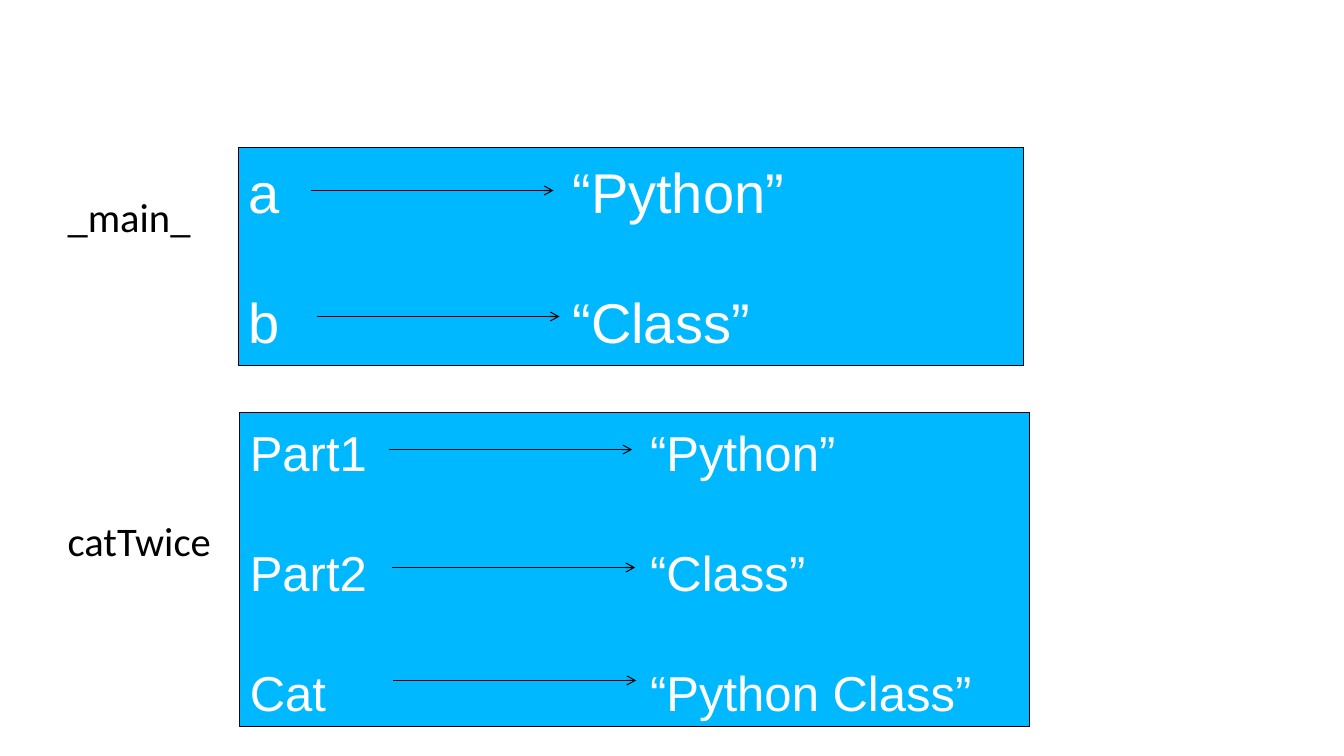
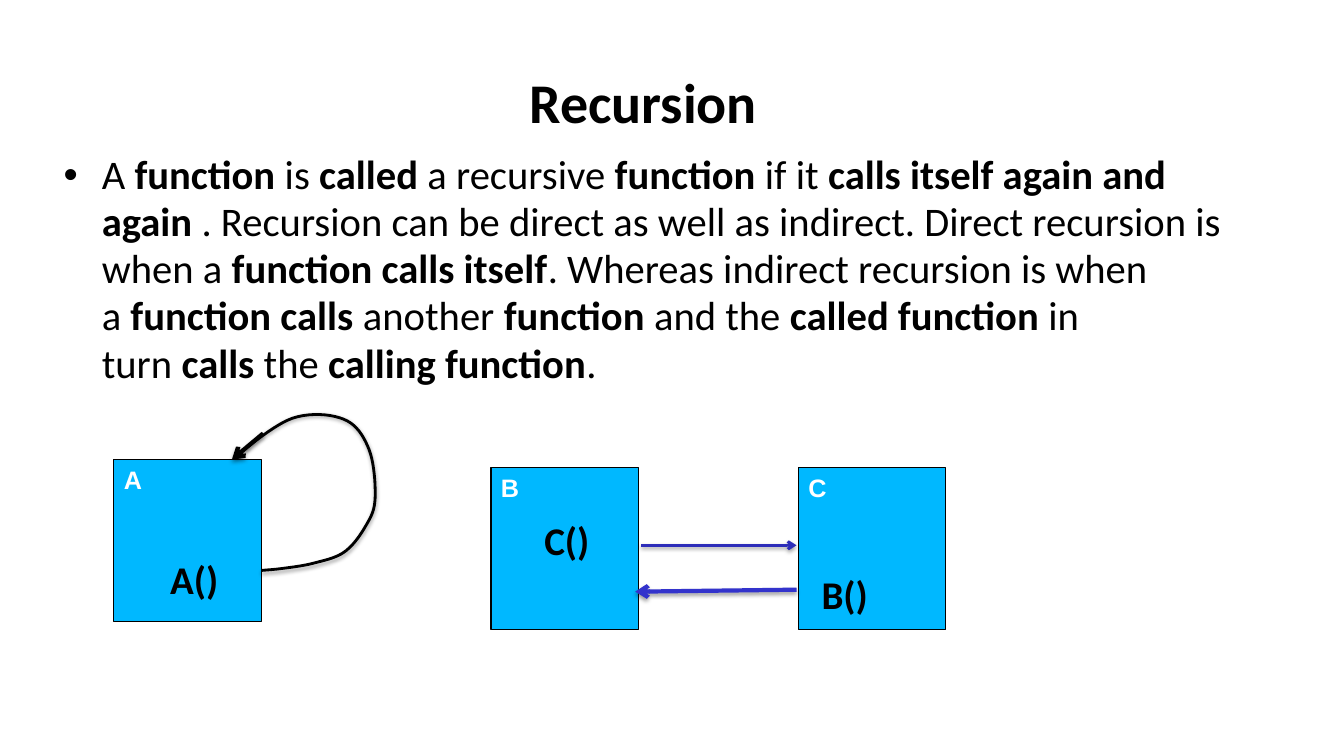
from lxml import etree
from pptx import Presentation
from pptx.dml.color import RGBColor
from pptx.enum.shapes import MSO_CONNECTOR, MSO_SHAPE
from pptx.enum.text import MSO_ANCHOR, PP_ALIGN
from pptx.oxml.ns import qn
from pptx.util import Inches, Pt

RECTANGLE, STRAIGHT = MSO_SHAPE.RECTANGLE, MSO_CONNECTOR.STRAIGHT
TOP, MIDDLE = MSO_ANCHOR.TOP, MSO_ANCHOR.MIDDLE
LEFT, CENTER = PP_ALIGN.LEFT, PP_ALIGN.CENTER

WIDTH, HEIGHT = 13.33, 7.5
BLACK, WHITE, BLUE = "000000", "FFFFFF", "00B8FF"
CALL_INK, RETURN_INK = "2D2DB9", "3333CC"
HEADING, BOXES = "Calibri", "Arial"
BODY_SIZE, BODY_WIDTH, BODY_INDENT = 29, 11.82, 0.38
BODY_INSETS, PLAIN_INSETS = (0, 0.17, 0, 0), (0.1, 0.05, 0.1, 0.05)
FRAME_INSETS = (0.1, 0.1, 0.1, 0.05)
ARROW_LENGTH = 2.41
SQUARE = (1.46, 1.61)
LABEL = (0.93, 0.57)

# Frames: place, text size, tab stop, gap between rows, (name, value, arrow start)
FRAME_NAMES = ["_main_", "catTwice"]
FRAMES = [
    ((2.37, 1.46, 7.78, 2.17), 40, 3.21, 44.8,
     [("a", "“Python”", (3.08, 1.89)), ("b", "“Class”", (3.14, 3.14))]),
    ((2.38, 4.09, 7.83, 3.12), 35, 3.97, 43.7,
     [("Part1", "“Python”", (3.86, 4.46)), ("Part2", "“Class”", (3.89, 5.63)),
      ("Cat", "“Python Class”", (3.9, 6.75))]),
]

# Plain and bold spans alternate, starting with plain
DEFINITION = [
    "A\u00a0", "function", "\u00a0is\u00a0", "called", "\u00a0a recursive\u00a0",
    "function", "\u00a0if it\u00a0", "calls itself again and again",
    "\u00a0. Recursion can be direct as well as indirect. "
    "Direct recursion is when a\u00a0", "function calls itself",
    ". Whereas indirect recursion is when a\u00a0", "function calls",
    "\u00a0another\u00a0", "function", "\u00a0and the\u00a0", "called function",
    "\u00a0in turn\u00a0", "calls", "\u00a0the\u00a0", "calling function", ".",
]
# Functions: name, corner of square, call made inside, corner of call
FUNCTIONS = [
    ("A", (1.13, 4.56), "A()", (1.59, 5.46)),
    ("B", (4.87, 4.64), "C()", (5.3, 5.07)),
    ("C", (7.92, 4.64), "B()", (8.05, 5.61)),
]
LOOP = [(2.34, 4.52), (2.9, 4.15), (3.41, 4.16), (3.66, 4.46), (3.72, 4.95),
        (3.62, 5.23), (3.41, 5.48), (3.1, 5.59), (2.8, 5.64), (2.59, 5.66)]
# Arrows: start, end, colour, line width
CALL_ARROWS = [
    ((2.61, 4.3), (2.3, 4.56), BLACK, 3),
    ((6.36, 5.41), (7.9, 5.41), CALL_INK, 2),
    ((7.9, 5.85), (6.3, 5.87), RETURN_INK, 3),
]


def ink(value):
    """Turn a hex string into a colour."""
    return RGBColor.from_string(value)


def inches(values):
    """Turn numbers into lengths."""
    return [Inches(value) for value in values]


def add_child(parent, tag, **attributes):
    """Append a drawing element with attributes."""
    child = etree.SubElement(parent, qn(tag))
    for name, value in attributes.items():
        child.set(name, str(value))
    return child


def set_up_text(shape, insets=PLAIN_INSETS, anchor=TOP):
    """Prepare the text frame of a shape and return it."""
    frame = shape.text_frame
    frame.word_wrap = True
    frame.vertical_anchor = anchor
    (frame.margin_left, frame.margin_top,
     frame.margin_right, frame.margin_bottom) = inches(insets)
    return frame


def add_para(frame, spans, size, font, color, align=LEFT, spacing=None, after=0):
    """Write (text, bold) spans as one paragraph."""
    para = frame.paragraphs[0]
    if para.runs:
        para = frame.add_paragraph()
    para.alignment = align
    para.space_after = Pt(after)
    if spacing:
        para.line_spacing = spacing
    for text, bold in spans:
        span = para.add_run()
        span.text = text
        span.font.size, span.font.name, span.font.bold = Pt(size), font, bold
        span.font.color.rgb = ink(color)
    return para


def add_text(page, place, insets=PLAIN_INSETS, anchor=TOP):
    """Add a text box and return its text frame."""
    return set_up_text(page.shapes.add_textbox(*inches(place)), insets, anchor)


def add_box(page, place, insets=PLAIN_INSETS):
    """Add a blue box with a thin outline and return its text frame."""
    box = page.shapes.add_shape(RECTANGLE, *inches(place))
    box.shadow.inherit = False
    box.fill.solid()
    box.fill.fore_color.rgb = ink(BLUE)
    box.line.color.rgb = ink(BLACK)
    box.line.width = Pt(0.75)
    return set_up_text(box, insets)


def style_stroke(shape, color, width, arrow=True, shadow=False):
    """Set the line, arrowhead and shadow of a stroke."""
    shape.line.color.rgb = ink(color)
    shape.line.width = Pt(width)
    properties = shape._element.spPr
    if arrow:
        add_child(properties.find(qn("a:ln")), "a:tailEnd", type="arrow")
    effects = add_child(properties, "a:effectLst")
    if shadow:
        outer = add_child(effects, "a:outerShdw", blurRad=Pt(3.1), dist=Pt(1.6),
                          dir=5400000, rotWithShape=0)
        tint = add_child(outer, "a:srgbClr", val=BLACK)
        add_child(tint, "a:alpha", val=38000)


def add_arrow(page, start, end, color=BLACK, width=0.75, shadow=False):
    """Add a straight arrow."""
    line = page.shapes.add_connector(STRAIGHT, *inches(start + end))
    style_stroke(line, color, width, shadow=shadow)


def smooth_points(knots, steps=10):
    """Return points on a smooth curve through the knots."""
    padded = [knots[0], *knots, knots[-1]]
    points = [knots[0]]
    for before, first, second, behind in zip(padded, padded[1:], padded[2:], padded[3:]):
        for step in range(1, steps + 1):
            t = step / steps
            points.append(tuple(
                b + t / 2 * (c - a + t * (2 * a - 5 * b + 4 * c - d
                                         + t * (3 * b - a - 3 * c + d)))
                for a, b, c, d in zip(before, first, second, behind)))
    return points


def add_curve(page, knots):
    """Add a smooth open curve."""
    start, *rest = [inches(point) for point in smooth_points(knots)]
    builder = page.shapes.build_freeform(*start)
    builder.add_line_segments(rest, close=False)
    curve = builder.convert_to_shape()
    curve.fill.background()
    style_stroke(curve, BLACK, 2, arrow=False, shadow=True)


def add_bullet(para):
    """Give a paragraph a hanging round bullet."""
    properties = para._p.get_or_add_pPr()
    properties.set("marL", str(Inches(BODY_INDENT)))
    properties.set("indent", str(-Inches(BODY_INDENT)))
    add_child(add_child(properties, "a:buClr"), "a:srgbClr", val=BLACK)
    add_child(properties, "a:buFont", typeface=BOXES)
    add_child(properties, "a:buChar", char="•")


def add_frames(page):
    """Draw the stack frames with their variables."""
    names = add_text(page, (0.67, 1.76, 1.65, 4.81), BODY_INSETS)
    for name in FRAME_NAMES:
        add_para(names, [(name, False)], BODY_SIZE, HEADING, BLACK,
                 spacing=0.97, after=198)
    for place, size, tab, gap, rows in FRAMES:
        frame = add_box(page, place, FRAME_INSETS)
        for name, value, (left, top) in rows:
            para = add_para(frame, [(f"{name}\t{value}", False)], size, BOXES,
                            WHITE, after=gap)
            tabs = add_child(para._p.get_or_add_pPr(), "a:tabLst")
            add_child(tabs, "a:tab", pos=Inches(tab), algn="l")
            add_arrow(page, (left, top), (left + ARROW_LENGTH, top))


def add_recursion(page):
    """Draw the definition and both kinds of recursion."""
    title = add_text(page, (0.47, 0.46, BODY_WIDTH, 1.15), anchor=MIDDLE)
    add_para(title, [("Recursion", True)], 40, HEADING, BLACK, CENTER, 0.97)
    body = add_text(page, (0.63, 1.33, BODY_WIDTH, 2.48), BODY_INSETS)
    spans = [(text, index % 2 == 1) for index, text in enumerate(DEFINITION)]
    add_bullet(add_para(body, spans, BODY_SIZE, HEADING, BLACK, spacing=0.97))
    for name, corner, call, call_corner in FUNCTIONS:
        add_para(add_box(page, corner + SQUARE), [(name, True)], 18, BOXES, WHITE)
        add_para(add_text(page, call_corner + LABEL), [(call, True)], 28, HEADING, BLACK)
    add_curve(page, LOOP)
    for start, end, color, width in CALL_ARROWS:
        add_arrow(page, start, end, color, width, shadow=True)


deck = Presentation()
deck.slide_width, deck.slide_height = inches((WIDTH, HEIGHT))
for draw in (add_frames, add_recursion):
    draw(deck.slides.add_slide(deck.slide_layouts[6]))
deck.save("out.pptx")
